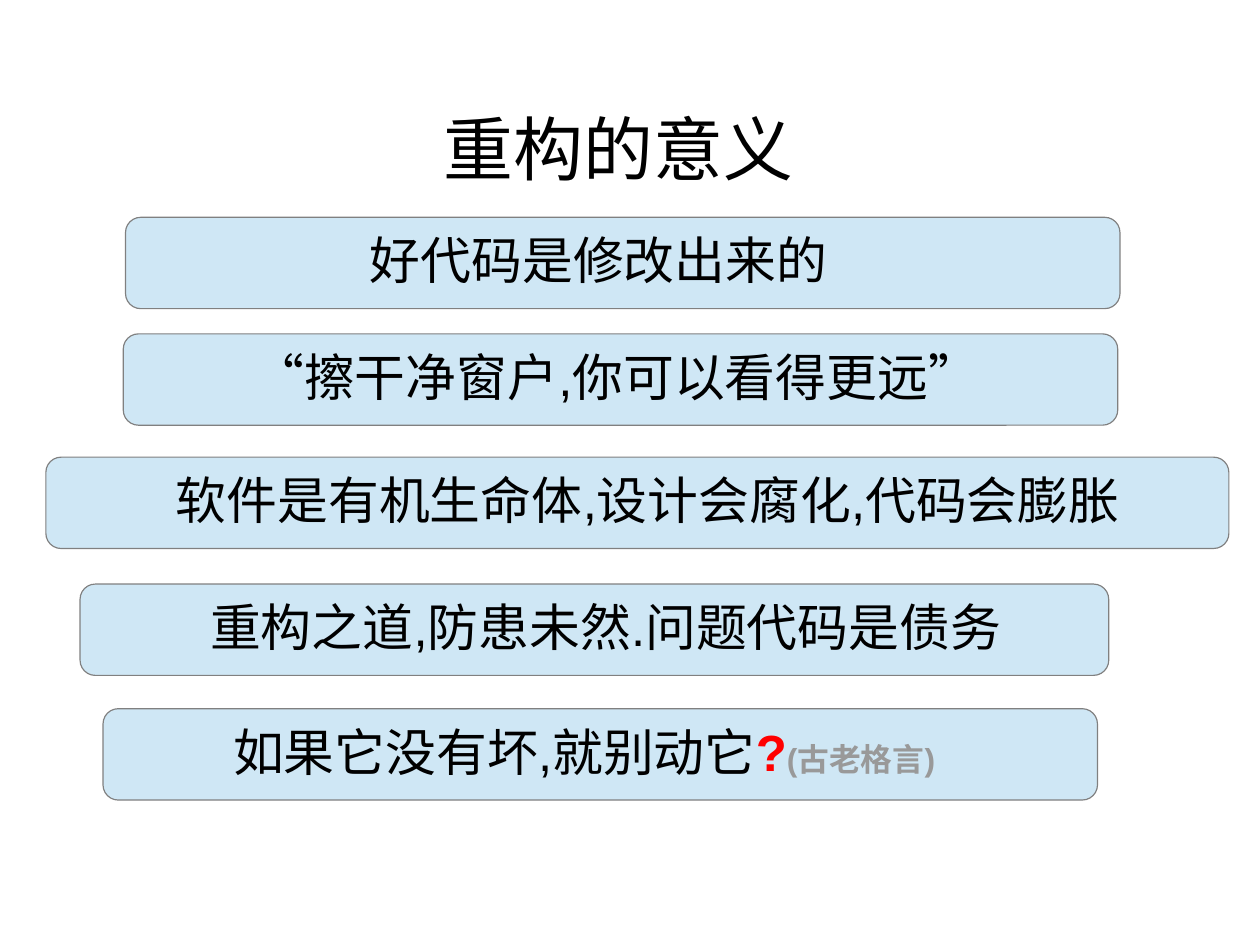
from pptx import Presentation
from pptx.dml.color import RGBColor
from pptx.enum.shapes import MSO_SHAPE
from pptx.enum.text import MSO_ANCHOR, MSO_AUTO_SIZE, PP_ALIGN
from pptx.util import Cm, Pt

BAR = MSO_SHAPE.FLOWCHART_ALTERNATE_PROCESS
MIDDLE = MSO_ANCHOR.MIDDLE
FIXED = MSO_AUTO_SIZE.NONE
CENTER, LEFT = PP_ALIGN.CENTER, PP_ALIGN.LEFT
TITLE_ONLY = 5

BLACK, RED, GRAY = "000000", "FF0000", "999999"
FILL, EDGE = "CFE7F5", "808080"
HIGH = 2.03   # bar height, cm
HANG = 0.64   # first line hangs left of the margin, cm

# left, top, width, text margin (cm), runs of (text, size, colour, bold)
BARS = [
    (2.79, 4.83, 22.1, 5.72, [("好代码是修改出来的", 32, BLACK, False)]),
    (2.74, 7.42, 22.1, 3.18,
     [("“擦干净窗户,你可以看得更远”", 32, BLACK, False)]),
    (1.02, 10.16, 26.29, 3.18,
     [("软件是有机生命体,设计会腐化,代码会膨胀", 32, BLACK, False)]),
    (1.78, 12.98, 22.86, 3.18,
     [("重构之道,防患未然.问题代码是债务", 32, BLACK, False)]),
    (2.29, 15.75, 22.1, 3.18,
     [("如果它没有坏,就别动它", 32, BLACK, False),
      ("?", 32, RED, True),
      ("(古老格言)", 20, GRAY, True)]),
]


def color(code):
    return RGBColor.from_string(code)


def write(frame, runs, align):
    """Fill the first paragraph of a text frame run by run."""
    frame.word_wrap = True
    frame.auto_size = FIXED
    frame.vertical_anchor = MIDDLE
    para = frame.paragraphs[0]
    para.alignment = align
    para.line_spacing = 0.93
    for text, size, code, bold in runs:
        run = para.add_run()
        run.text = text
        run.font.name = "Arial"
        run.font.size = Pt(size)
        run.font.bold = bold
        run.font.color.rgb = color(code)
    return para


def add_title(slide, left, top, width, height):
    title = slide.shapes.title
    title.left, title.top = Cm(left), Cm(top)
    title.width, title.height = Cm(width), Cm(height)
    frame = title.text_frame
    frame.margin_left = frame.margin_right = frame.margin_bottom = 0
    frame.margin_top = Cm(0.1)
    write(frame, [("重构的意义", 44, BLACK, False)], CENTER)


def add_bar(slide, left, top, width, margin, runs):
    bar = slide.shapes.add_shape(BAR, Cm(left), Cm(top), Cm(width), Cm(HIGH))
    bar.shadow.inherit = False
    bar.fill.solid()
    bar.fill.fore_color.rgb = color(FILL)
    bar.line.color.rgb = color(EDGE)
    bar.line.width = Pt(0.75)
    para = write(bar.text_frame, runs, LEFT)
    props = para._p.get_or_add_pPr()
    props.set("marL", str(Cm(margin)))
    props.set("indent", str(-Cm(HANG)))


def main():
    deck = Presentation()
    deck.slide_width, deck.slide_height = Cm(28), Cm(21)
    slide = deck.slides.add_slide(deck.slide_layouts[TITLE_ONLY])
    add_title(slide, 2, 1.9, 23.5, 2.85)
    for bar in BARS:
        add_bar(slide, *bar)
    deck.save("out.pptx")


if __name__ == "__main__":
    main()
